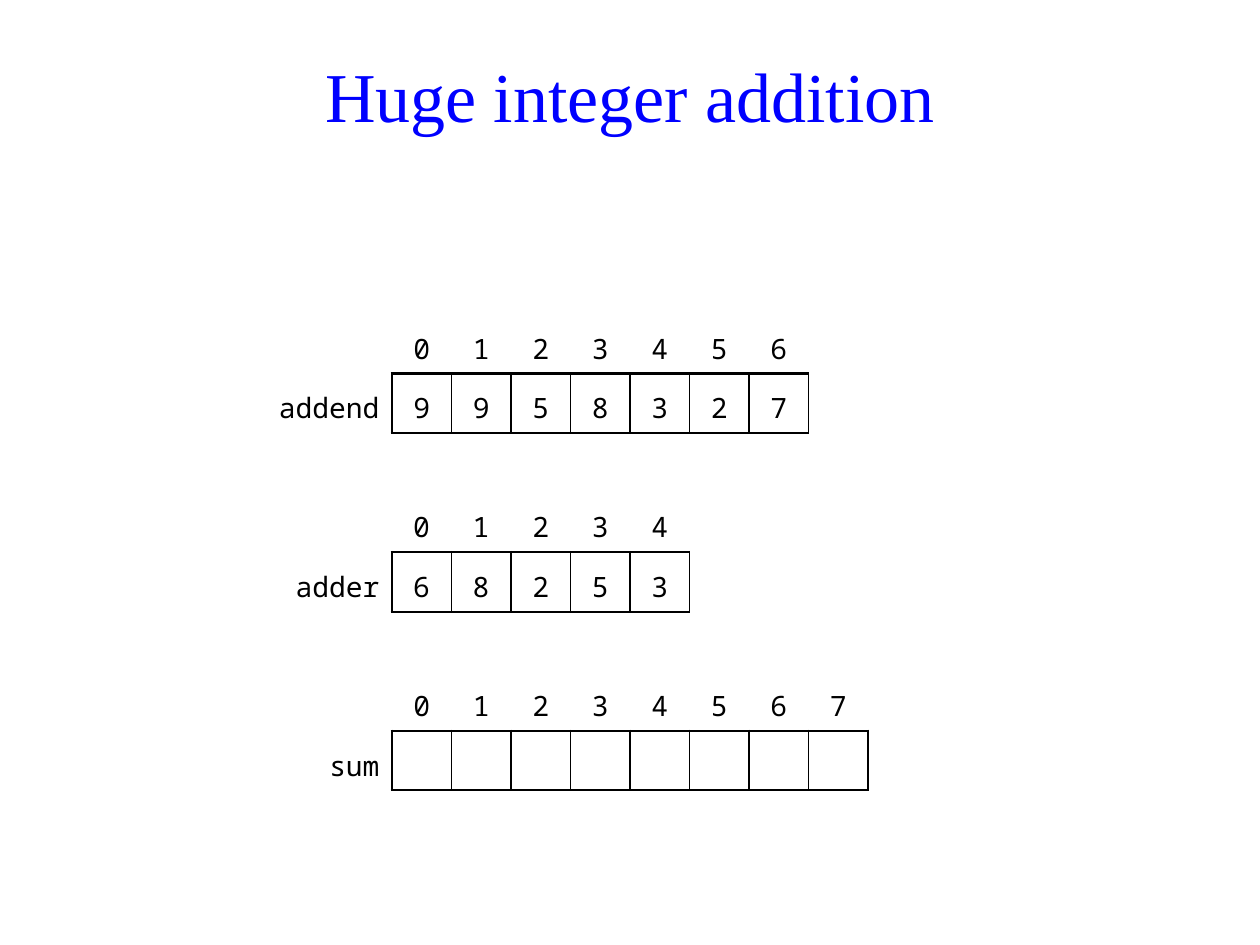
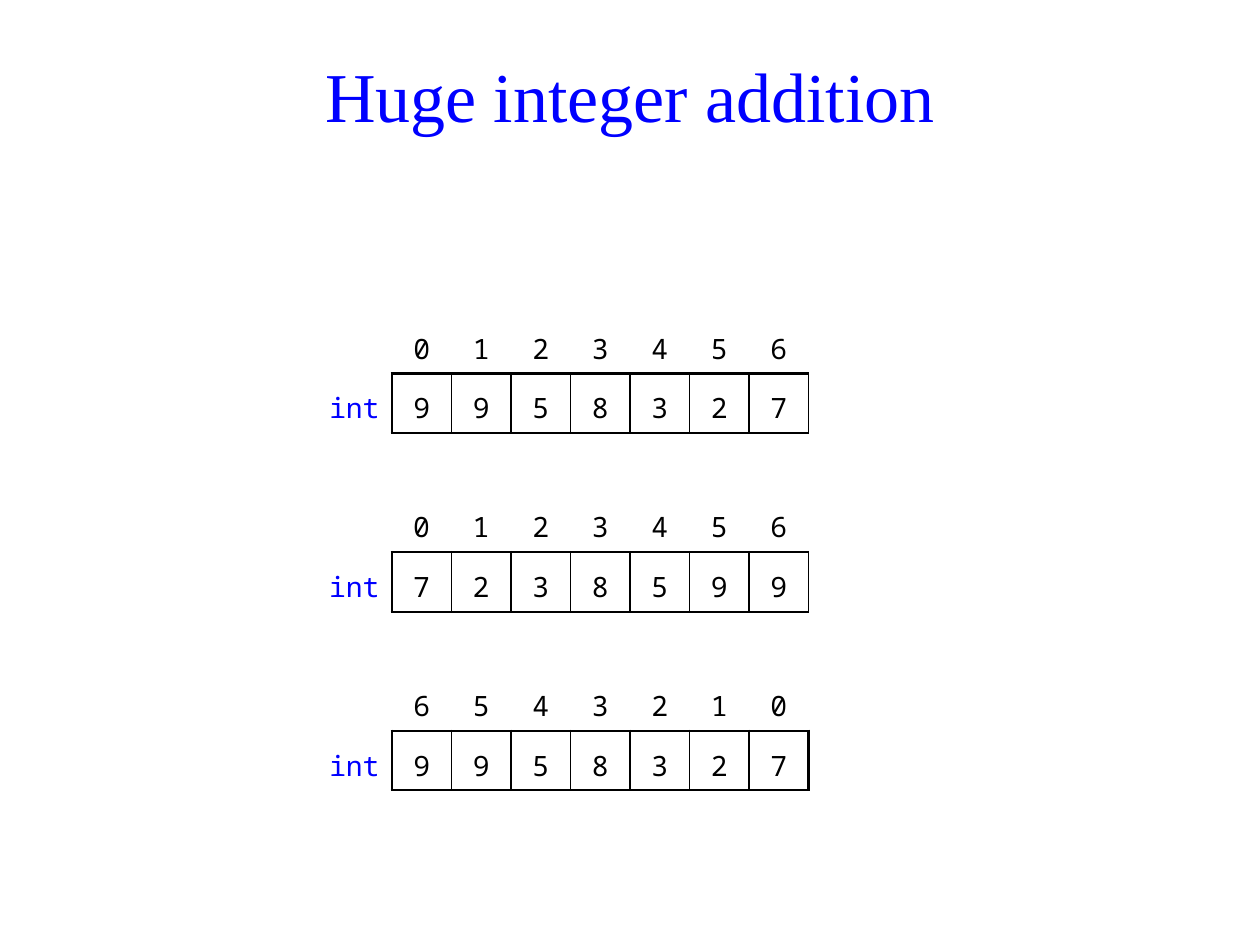
from lxml import etree
from pptx import Presentation
from pptx.dml.color import RGBColor
from pptx.enum.text import MSO_ANCHOR, PP_ALIGN
from pptx.oxml.ns import qn
from pptx.util import Cm, Pt

BLACK = RGBColor(0x00, 0x00, 0x00)
BLUE = RGBColor(0x00, 0x00, 0xFF)
WHITE = RGBColor(0xFF, 0xFF, 0xFF)

CENTER, RIGHT = PP_ALIGN.CENTER, PP_ALIGN.RIGHT
MIDDLE = MSO_ANCHOR.MIDDLE

TITLE = "Huge integer addition"
TITLE_FONT = {"name": "Times New Roman", "size": Pt(40)}
CELL_FONT = {"name": "Noto Sans Mono", "size": Pt(16)}
CELL_FORMAT = {
    "vertical_anchor": MIDDLE,
    "margin_left": Cm(0.25),
    "margin_right": Cm(0.25),
    "margin_top": Cm(0.05),
    "margin_bottom": Cm(0.05),
}

# Grid in centimetres: the digits of all arrays start at the same left edge
CELL = 1.2
ARRAY_LEFT = 7.9
FIRST_TOP = 6.33
ARRAY_PITCH = 3 * CELL
LABEL_WIDTHS = [3.2, 2.8, 2]

# Border widths in points
OUTER, INNER = 1.5, 1

# One array: label, indices, digits, width of the right border
ADDITION = [
    ("addend", "0123456", "9958327", INNER),
    ("adder", "01234", "68253", INNER),
    ("sum", "01234567", "", INNER),
]
REVERSAL = [
    ("int", "0123456", "9958327", INNER),
    ("int", "0123456", "7238599", INNER),
    ("int", "6543210", "9958327", OUTER),
]


def apply_format(target, values):
    for name, value in values.items():
        setattr(target, name, value)


def write(p, text, font, color, align):
    p.alignment = align
    r = p.add_run()
    r.text = text
    apply_format(r.font, font)
    r.font.color.rgb = color


def add_title(slide):
    sp = slide.shapes.add_textbox(Cm(0.7), Cm(0.7), Cm(24), Cm(2.4))
    tf = sp.text_frame
    apply_format(tf, {"word_wrap": True, "vertical_anchor": MIDDLE})
    write(tf.paragraphs[0], TITLE, TITLE_FONT, BLUE, CENTER)


def set_borders(cell, widths):
    """Draw the sides named in widths and hide the others."""
    tcPr = cell._tc.get_or_add_tcPr()
    for side in "LRTB":
        ln = etree.SubElement(tcPr, qn(f"a:ln{side}"))
        if side in widths:
            ln.set("w", str(Pt(widths[side])))
            fill = etree.SubElement(ln, qn("a:solidFill"))
            etree.SubElement(fill, qn("a:srgbClr"), val=str(BLACK))
        else:
            etree.SubElement(ln, qn("a:noFill"))


def fill_cell(cell, text, borders, color=BLACK, align=CENTER):
    set_borders(cell, borders)
    cell.fill.solid()
    cell.fill.fore_color.rgb = WHITE
    apply_format(cell, CELL_FORMAT)
    if text:
        p = cell.text_frame.paragraphs[0]
        p.line_spacing = 1.25
        write(p, text, CELL_FONT, color, align)


def add_array(slide, top, label_width, array, label_color):
    label, indices, digits, right_edge = array
    count = len(indices)
    frame = slide.shapes.add_table(
        2, count + 1, Cm(ARRAY_LEFT - label_width), Cm(top),
        Cm(label_width + count * CELL), Cm(2 * CELL))
    table = frame.table
    apply_format(table, {"first_row": False, "horz_banding": False})
    for row in table.rows:
        row.height = Cm(CELL)
    for col in table.columns:
        col.width = Cm(CELL)
    table.columns[0].width = Cm(label_width)

    # Label column
    fill_cell(table.cell(0, 0), "", {})
    fill_cell(table.cell(1, 0), label, {"R": OUTER}, label_color, RIGHT)

    # Indices above the boxed digits
    for i, index in enumerate(indices, start=1):
        box = {
            "L": OUTER if i == 1 else INNER,
            "R": right_edge if i == count else INNER,
            "T": OUTER,
            "B": OUTER,
        }
        fill_cell(table.cell(0, i), index, {"B": OUTER})
        fill_cell(table.cell(1, i), digits[i - 1:i], box)


def add_array_slide(prs, arrays, label_color):
    slide = prs.slides.add_slide(prs.slide_layouts[6])
    add_title(slide)
    for i, (width, array) in enumerate(zip(LABEL_WIDTHS, arrays)):
        add_array(slide, FIRST_TOP + i * ARRAY_PITCH, width, array, label_color)


def main():
    prs = Presentation()
    prs.slide_width, prs.slide_height = Cm(25.4), Cm(19.05)
    add_array_slide(prs, ADDITION, BLACK)
    add_array_slide(prs, REVERSAL, BLUE)
    prs.save("out.pptx")


if __name__ == "__main__":
    main()
